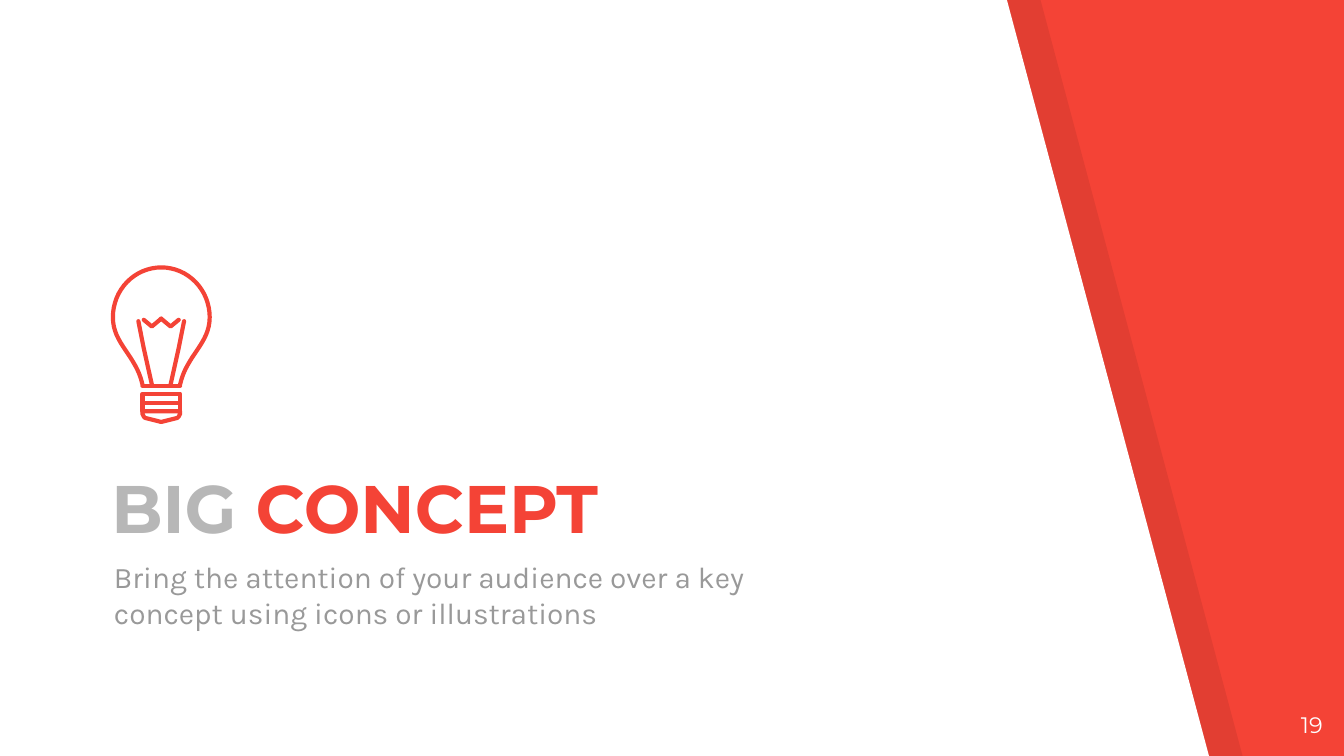
from math import cos, pi, sin

from lxml import etree
from pptx import Presentation
from pptx.dml.color import RGBColor
from pptx.enum.text import MSO_ANCHOR, PP_ALIGN
from pptx.oxml.ns import qn
from pptx.util import Inches, Pt

TOP, BOTTOM = MSO_ANCHOR.TOP, MSO_ANCHOR.BOTTOM
LEFT, RIGHT = PP_ALIGN.LEFT, PP_ALIGN.RIGHT

RED = RGBColor(0xF4, 0x43, 0x36)
WHITE = RGBColor(0xFF, 0xFF, 0xFF)
BLACK = RGBColor(0x00, 0x00, 0x00)
SILVER = RGBColor(0xB7, 0xB7, 0xB7)
GRAY = RGBColor(0x99, 0x99, 0x99)

# Content
TITLE = [("BIG ", SILVER), ("CONCEPT", RED)]
SUBTITLE = [("Bring the attention of your audience over a key concept "
             "using icons or illustrations", GRAY)]
PAGE_NUMBER = [("19", WHITE)]

# Slanted panels: left edge, colour, opacity in percent
PANELS = [(0.25, BLACK, 7), (0, WHITE, 100)]

# Light bulb: left halves, mirrored about the axis
AXIS = 1.2
DOME_MIDDLE, DOME_WIDTH, DOME_HEIGHT = 2.36, 0.36, 0.37
SIDE_CURVE = [(1.06, 2.86), (1.01, 2.64), (0.84, 2.56), (0.84, 2.36)]
CAP = [(1.06, 3.06), (1.06, 3.08), (1.07, 3.1), (1.08, 3.11), (1.2, 3.14)]
FILAMENT = [(1.07, 2.38), (1.13, 2.43), (1.19, 2.38), (1.2, 2.37)]
SUPPORT = [(1.13, 2.86), (1.07, 2.59), (1.03, 2.39)]
NECK = [(1.06, 2.87)]
THREADS = [2.93, 3, 3.06]
STEPS = 16


def mirror(points):
    return [(2 * AXIS - x, y) for x, y in reversed(points)]


def bezier(a, b, c, d, t):
    s = 1 - t
    return s**3 * a + 3 * s * s * t * b + 3 * s * t * t * c + t**3 * d


def glass_half():
    fractions = [step / STEPS for step in range(STEPS + 1)]
    xs, ys = zip(*SIDE_CURVE)
    side = [(bezier(*xs, t), bezier(*ys, t)) for t in fractions]
    dome = [(AXIS - DOME_WIDTH * cos(t * pi / 2),
             DOME_MIDDLE - DOME_HEIGHT * sin(t * pi / 2)) for t in fractions[1:]]
    return side + dome


def add_outline(shapes, points, closed):
    corners = [(Inches(x), Inches(y)) for x, y in points]
    builder = shapes.build_freeform(*corners[0])
    builder.add_line_segments(corners[1:], close=closed)
    shape = builder.convert_to_shape()
    shape.shadow.inherit = False
    return shape


def add_panel(page, left, color, opacity):
    points = [(left, -0.01), (left, 5.64), (left + 9, 5.64), (left + 7.49, -0.01)]
    panel = add_outline(page.shapes, points, True)
    panel.fill.solid()
    panel.fill.fore_color.rgb = color
    panel.line.fill.background()
    if opacity < 100:
        tint = panel.element.spPr.find(qn("a:solidFill"))[0]
        etree.SubElement(tint, qn("a:alpha")).set("val", str(opacity * 1000))


def add_stroke(group, points, closed=False):
    stroke = add_outline(group.shapes, points, closed)
    stroke.fill.background()
    stroke.line.color.rgb = RED
    stroke.line.width = Pt(2.25)
    # Round ends and corners
    line = stroke.element.spPr.find(qn("a:ln"))
    line.set("cap", "rnd")
    etree.SubElement(line, qn("a:round"))


def add_text(page, spans, area, size, font, bold=False, align=LEFT,
             anchor=TOP, space_before=0):
    box = page.shapes.add_textbox(*map(Inches, area))
    frame = box.text_frame
    frame.word_wrap = True
    frame.vertical_anchor = anchor
    frame.margin_left = frame.margin_right = Inches(0.1)
    frame.margin_top = frame.margin_bottom = Inches(0.1)
    para = frame.paragraphs[0]
    para.alignment = align
    para.space_before = Pt(space_before)
    for text, color in spans:
        span = para.add_run()
        span.text = text
        span.font.name = font
        span.font.size = Pt(size)
        span.font.bold = bold
        span.font.color.rgb = color


def add_bulb(page):
    bulb = page.shapes.add_group_shape()
    for top, bottom in zip(THREADS, THREADS[1:]):
        side = [(1.06, bottom), (1.06, top)]
        add_stroke(bulb, side + mirror(side), closed=True)
    add_stroke(bulb, CAP + mirror(CAP)[1:], closed=True)
    for half in (glass_half(), FILAMENT):
        add_stroke(bulb, half + mirror(half)[1:])
    add_stroke(bulb, NECK + mirror(NECK))
    for support in (SUPPORT, mirror(SUPPORT)):
        add_stroke(bulb, support)


def main():
    deck = Presentation()
    deck.slide_width = Inches(10)
    deck.slide_height = Inches(10) * 9 // 16
    page = deck.slides.add_slide(deck.slide_layouts[6])
    page.background.fill.solid()
    page.background.fill.fore_color.rgb = RED

    for left, color, opacity in PANELS:
        add_panel(page, left, color, opacity)
    add_text(page, TITLE, (0.73, 2.9, 5.74, 1.27), 36, "Montserrat",
             bold=True, anchor=BOTTOM)
    add_text(page, SUBTITLE, (0.75, 4.06, 5.74, 0.86), 16, "Karla",
             space_before=6)
    add_bulb(page)
    add_text(page, PAGE_NUMBER, (9.34, 5.19, 0.6, 0.43), 12, "Montserrat",
             align=RIGHT)
    deck.save("out.pptx")


if __name__ == "__main__":
    main()
